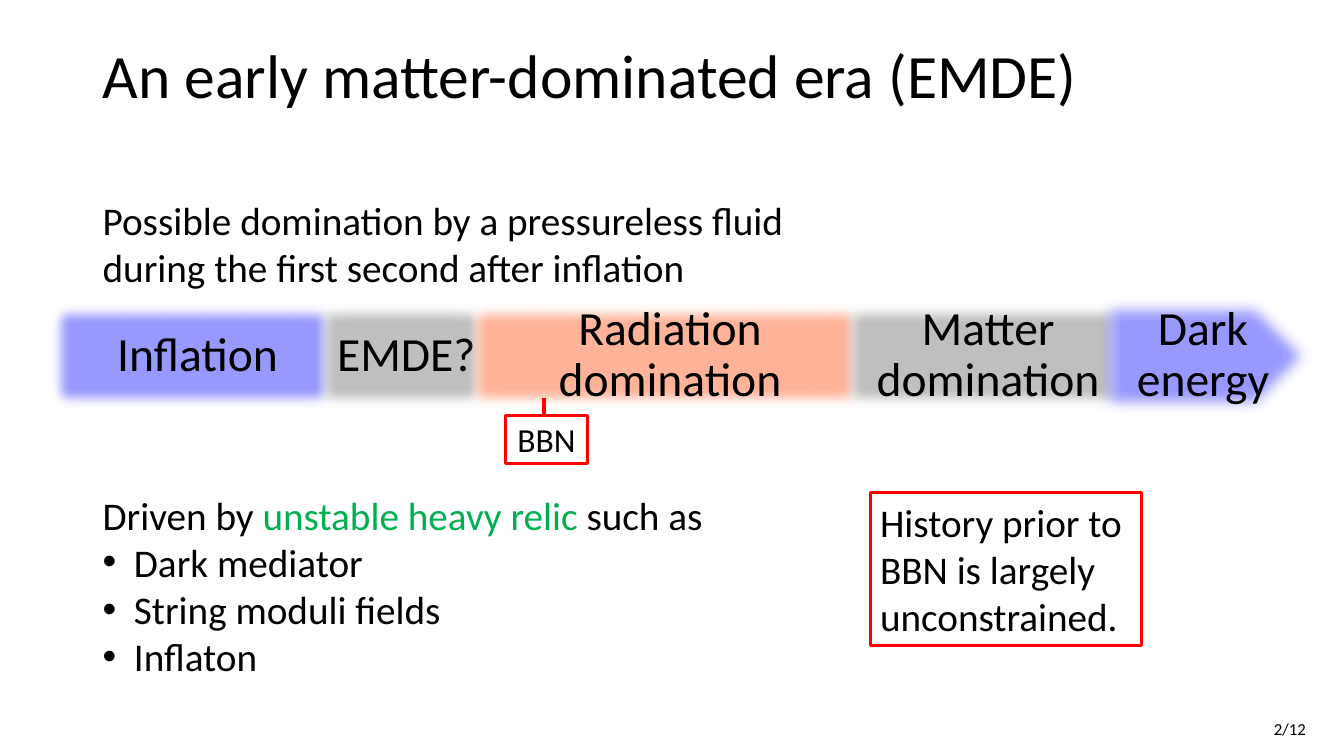
from dataclasses import dataclass

from lxml.etree import SubElement
from pptx import Presentation
from pptx.dml.color import RGBColor
from pptx.enum.shapes import MSO_SHAPE
from pptx.enum.text import MSO_ANCHOR, PP_ALIGN
from pptx.oxml.ns import qn
from pptx.util import Emu, Pt

PX = 9144  # EMU per px: 100 px to the inch


def px(length):
    return Emu(length * PX)


@dataclass(frozen=True)
class Theme:
    font: str = "Calibri"
    text: str = "000000"
    paper: str = "FFFFFF"
    accent: str = "00B050"
    frame: str = "FF0000"
    vacuum: str = "9999FF"
    matter: str = "C0C0C0"
    radiation: str = "FFB499"
    title_size: int = 44
    era_size: int = 34
    body_size: int = 28
    label_size: int = 24
    number_size: int = 12
    frame_width: float = 2.25
    soft_edge: int = 14


class SlideBuilder:
    def __init__(self, slide, theme):
        self.slide = slide
        self.theme = theme

    def set_text(self, box, paragraphs, size, align=PP_ALIGN.LEFT, anchor=MSO_ANCHOR.TOP,
                 spacing=None, wrap=True, insets=(10, 10)):
        """Fill a box; each paragraph is a string or a list of (text, colour) spans."""
        frame = box.text_frame
        frame.word_wrap = wrap
        frame.vertical_anchor = anchor
        frame.margin_left, frame.margin_right = map(px, insets)
        frame.margin_top = frame.margin_bottom = px(5)
        for index, spans in enumerate(paragraphs):
            para = frame.add_paragraph() if index else frame.paragraphs[0]
            para.alignment = align
            para.line_spacing = spacing
            if isinstance(spans, str):
                spans = [(spans, self.theme.text)]
            for text, colour in spans:
                for number, line in enumerate(text.split("\n")):
                    if number:
                        para.add_line_break()
                    span = para.add_run()
                    span.text = line
                    span.font.name = self.theme.font
                    span.font.size = Pt(size)
                    span.font.color.rgb = RGBColor.from_string(colour)
        return frame.paragraphs

    def text(self, place, paragraphs, size, **style):
        box = self.slide.shapes.add_textbox(*map(px, place))
        return self.set_text(box, paragraphs, size, **style)

    def shape(self, kind, place, fill, line=None):
        shape = self.slide.shapes.add_shape(kind, *map(px, place))
        shape.shadow.inherit = False
        shape.fill.solid()
        shape.fill.fore_color.rgb = RGBColor.from_string(fill)
        if line:
            shape.line.color.rgb = RGBColor.from_string(line)
            shape.line.width = Pt(self.theme.frame_width)
        else:
            shape.line.fill.background()
        return shape

    def era(self, name, left, width, fill, kind=MSO_SHAPE.RECTANGLE):
        """Draw one soft-edged span of the timeline."""
        shape = self.shape(kind, (left, 294, width, 118), fill)
        effects = shape._element.spPr.find(qn("a:effectLst"))
        SubElement(effects, qn("a:softEdge"), rad=str(px(self.theme.soft_edge)))
        self.set_text(shape, [name], self.theme.era_size, align=PP_ALIGN.CENTER,
                      anchor=MSO_ANCHOR.MIDDLE, spacing=0.9, insets=(15, 5))

    def framed(self, place, words, size, kind=MSO_SHAPE.RECTANGLE, **style):
        shape = self.shape(kind, place, self.theme.paper, self.theme.frame)
        self.set_text(shape, [words], size, **style)
        return shape

    def bullet(self, para):
        properties = para._p.get_or_add_pPr()
        properties.set("marL", str(px(31)))
        properties.set("indent", str(px(-31)))
        SubElement(properties, qn("a:buFont"), typeface="Arial")
        SubElement(properties, qn("a:buChar"), char="•")


def main():
    theme = Theme()
    deck = Presentation()
    deck.slide_width, deck.slide_height = px(1333), px(750)
    page = SlideBuilder(deck.slides.add_slide(deck.slide_layouts[6]), theme)

    page.text((92, 190, 731, 104),
              ["Possible domination by a pressureless fluid during the first second after inflation"],
              theme.body_size)

    eras = [
        ("Inflation", 43, 296, theme.vacuum),
        ("EMDE?", 306, 184, theme.matter),
        ("Radiation\ndomination", 457, 405, theme.radiation),
        ("Matter\ndomination", 829, 292, theme.matter),
        ("Dark energy", 1088, 230, theme.vacuum, MSO_SHAPE.PENTAGON),
    ]
    for era in eras:
        page.era(*era)

    driver = [("Driven by ", theme.text), ("unstable heavy relic ", theme.accent),
              ("such as", theme.text)]
    relics = ["Dark mediator", "String moduli fields", "Inflaton"]
    for para in page.text((92, 482, 622, 199), [driver, *relics], theme.body_size, wrap=False)[1:]:
        page.bullet(para)

    callout = page.framed((501, 412, 82, 48), "BBN", theme.label_size,
                          kind=MSO_SHAPE.LINE_CALLOUT_1, align=PP_ALIGN.CENTER,
                          anchor=MSO_ANCHOR.MIDDLE)
    for index, value in enumerate((-0.01, 0.47, -0.36, 0.47)):
        callout.adjustments[index] = value
    page.framed((863, 489, 269, 151), "History prior to BBN is largely unconstrained.",
                theme.body_size)

    page.text((92, 40, 1150, 145), ["An early matter-dominated era (EMDE)"],
              theme.title_size, spacing=0.9)
    page.text((942, 710, 363, 25), ["2/12"], theme.number_size,
              align=PP_ALIGN.RIGHT, anchor=MSO_ANCHOR.MIDDLE)
    deck.save("out.pptx")


if __name__ == "__main__":
    main()
